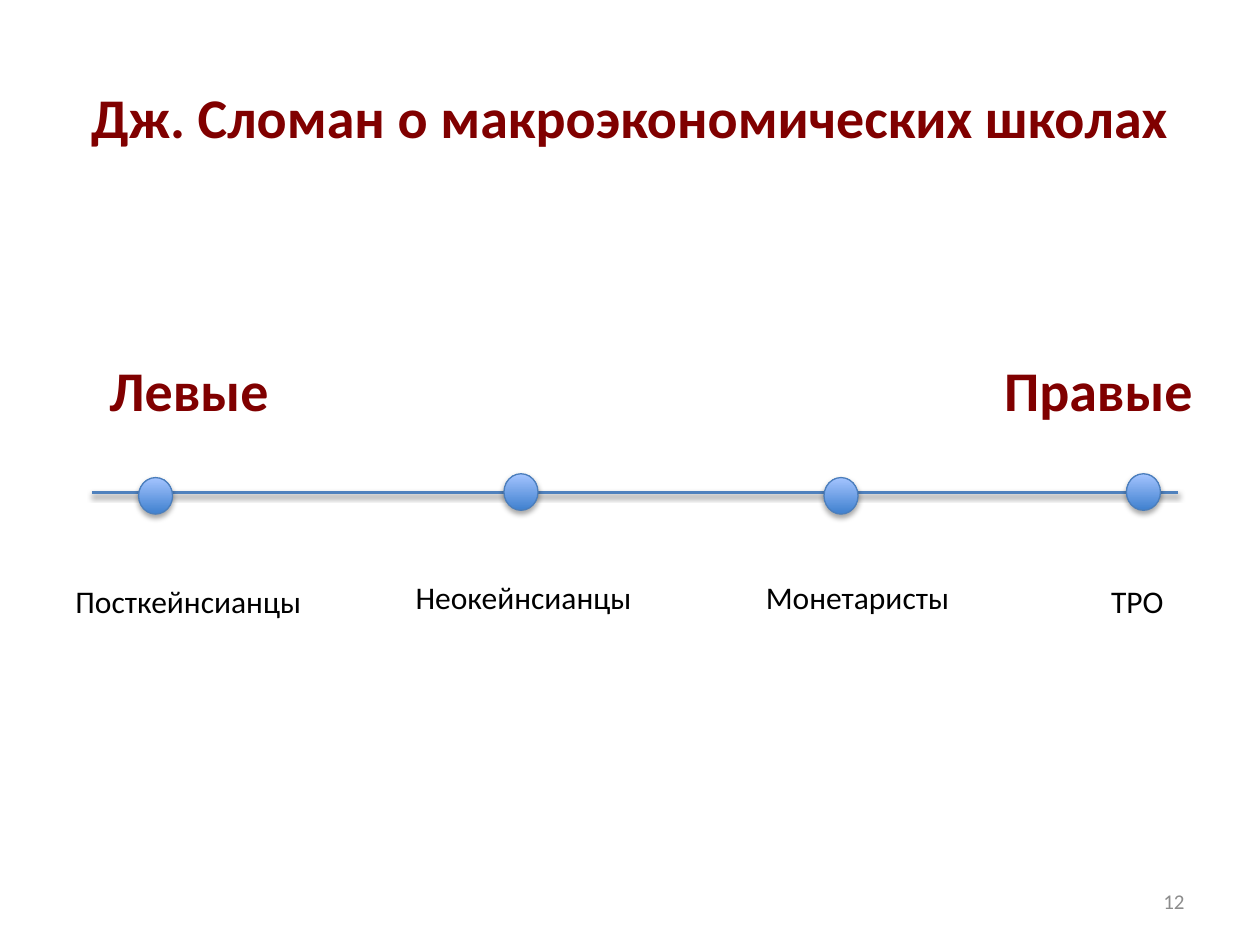
"""Build a slide placing macroeconomic schools on a left-right political axis."""
from dataclasses import dataclass

from lxml import etree
from pptx import Presentation
from pptx.dml.color import RGBColor
from pptx.enum.shapes import MSO_CONNECTOR, MSO_SHAPE
from pptx.enum.text import MSO_ANCHOR, MSO_AUTO_SIZE, PP_ALIGN
from pptx.oxml.ns import qn
from pptx.slide import Slide
from pptx.util import Inches, Pt

OVAL = MSO_SHAPE.OVAL
STRAIGHT = MSO_CONNECTOR.STRAIGHT
TOP, MIDDLE = MSO_ANCHOR.TOP, MSO_ANCHOR.MIDDLE
LEFT, CENTER, RIGHT = PP_ALIGN.LEFT, PP_ALIGN.CENTER, PP_ALIGN.RIGHT
FIT_SHAPE = MSO_AUTO_SIZE.SHAPE_TO_FIT_TEXT


@dataclass(frozen=True)
class TextStyle:
    size: int
    color: str
    bold: bool = False


@dataclass(frozen=True)
class Theme:
    font: str = "Calibri"
    heading: TextStyle = TextStyle(32, "800000", True)
    label: TextStyle = TextStyle(18, "000000")
    page_number: TextStyle = TextStyle(12, "8C8C8C")
    axis: str = "4F81BD"
    marker_line: str = "4B7EBC"
    marker_bottom: str = "3F80CE"
    marker_top: str = "A4C4FF"
    shadow: str = "000000"


@dataclass(frozen=True)
class Box:
    left: float
    top: float
    width: float
    height: float

    def lengths(self) -> list[Inches]:
        return [Inches(v) for v in (self.left, self.top, self.width, self.height)]


@dataclass(frozen=True)
class School:
    name: str
    label: Box
    marker_left: float
    marker_top: float


THEME = Theme()
AXIS_LEFT, AXIS_RIGHT, AXIS_Y = 0.73, 9.35, 3.91
MARKER_WIDTH, MARKER_HEIGHT = 0.27, 0.29
POLES = {
    "Левые": Box(0.77, 2.77, 1.48, 0.64),
    "Правые": Box(7.87, 2.77, 1.71, 0.64),
}
SCHOOLS = [
    School("Посткейнсианцы", Box(0.5, 4.57, 2.01, 0.4), 1.1, 3.79),
    School("Неокейнсианцы", Box(3.2, 4.54, 1.94, 0.4), 4, 3.76),
    School("Монетаристы", Box(5.98, 4.54, 1.67, 0.4), 6.54, 3.79),
    School("ТРО", Box(8.72, 4.57, 0.62, 0.4), 8.94, 3.76),
]


def add_text(slide: Slide, text: str, box: Box, style: TextStyle,
             align: PP_ALIGN = LEFT, anchor: MSO_ANCHOR = TOP, wrap: bool = True) -> None:
    frame = slide.shapes.add_textbox(*box.lengths()).text_frame
    frame.word_wrap = wrap
    frame.vertical_anchor = anchor
    if not wrap:
        frame.auto_size = FIT_SHAPE
    paragraph = frame.paragraphs[0]
    paragraph.text = text
    paragraph.alignment = align
    paragraph.font.name = THEME.font
    paragraph.font.size = Pt(style.size)
    paragraph.font.bold = style.bold
    paragraph.font.color.rgb = RGBColor.from_string(style.color)


def add_shadow(properties: etree.ElementBase, opacity: int, distance: float) -> None:
    effects = properties.find(qn("a:effectLst"))
    if effects is None:
        effects = etree.SubElement(properties, qn("a:effectLst"))
    shadow = etree.SubElement(
        effects, qn("a:outerShdw"), blurRad=str(Pt(3.1)), dist=str(Pt(distance)),
        dir=str(90 * 60000), rotWithShape="0")
    color = etree.SubElement(shadow, qn("a:srgbClr"), val=THEME.shadow)
    etree.SubElement(color, qn("a:alpha"), val=str(opacity * 1000))


def add_axis(slide: Slide) -> None:
    axis = slide.shapes.add_connector(
        STRAIGHT, Inches(AXIS_LEFT), Inches(AXIS_Y), Inches(AXIS_RIGHT), Inches(AXIS_Y))
    axis.line.color.rgb = RGBColor.from_string(THEME.axis)
    axis.line.width = Pt(2)
    add_shadow(axis._element.spPr, 38, 1.6)


def add_marker(slide: Slide, school: School) -> None:
    box = Box(school.marker_left, school.marker_top, MARKER_WIDTH, MARKER_HEIGHT)
    marker = slide.shapes.add_shape(OVAL, *box.lengths())
    marker.fill.gradient()
    marker.fill.gradient_angle = 90
    stops = marker.fill.gradient_stops
    for stop, position, color in zip(stops, (0, 1), (THEME.marker_bottom, THEME.marker_top)):
        stop.position = position
        stop.color.rgb = RGBColor.from_string(color)
    marker.line.color.rgb = RGBColor.from_string(THEME.marker_line)
    marker.line.width = Pt(0.75)
    marker.shadow.inherit = False
    add_shadow(marker._element.spPr, 35, 1.8)


def main() -> None:
    deck = Presentation()
    deck.slide_width, deck.slide_height = Inches(10), Inches(7.5)
    slide = deck.slides.add_slide(deck.slide_layouts[6])
    add_text(slide, "Дж. Сломан о макроэкономических школах", Box(0.5, 0.3, 9, 1.25),
             THEME.heading, CENTER, MIDDLE)
    add_axis(slide)
    for pole, box in POLES.items():
        add_text(slide, pole, box, THEME.heading, wrap=False)
    for school in SCHOOLS:
        add_text(slide, school.name, school.label, THEME.label, wrap=False)
        add_marker(slide, school)
    add_text(slide, "12", Box(7.17, 6.95, 2.33, 0.4), THEME.page_number, RIGHT, MIDDLE)
    deck.save("out.pptx")


if __name__ == "__main__":
    main()
